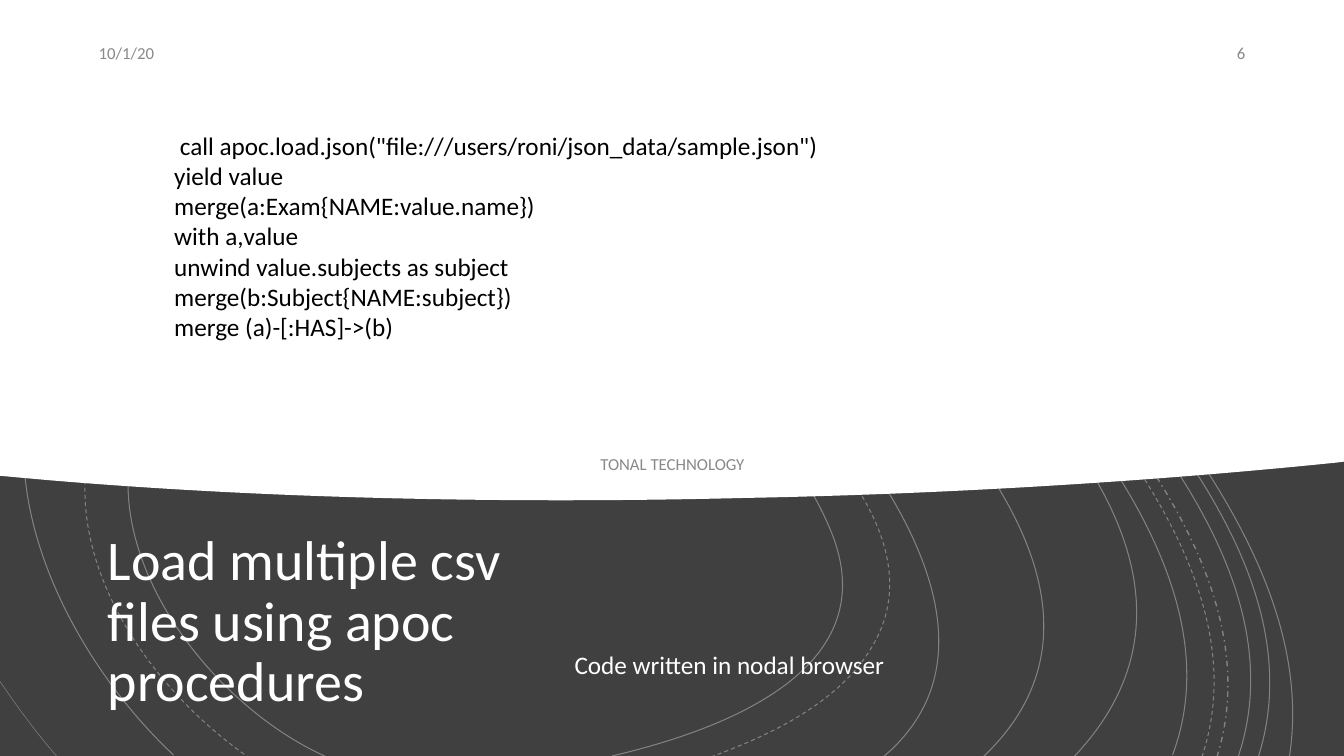
import pptx
import pptx.dml.color
import pptx.enum.dml
import pptx.enum.shapes
import pptx.enum.text
import pptx.oxml.ns
import pptx.util
from lxml import etree
from pptx.util import Inches

FONT = "Calibri"
DARK, WHITE, BLACK, GREY = "404040", "FFFFFF", "000000", "898989"
ALIGN = pptx.enum.text.PP_ALIGN
ANCHOR = pptx.enum.text.MSO_ANCHOR
DASH = pptx.enum.dml.MSO_LINE
qn = pptx.oxml.ns.qn

# Contour lines: width in points, dash, then start point and Bezier triples
CONTOURS = [
    (0.75, DASH.SOLID, [
        (8.76, 7.51), (10.25, 6.25, 8.35, 4.09, 7.38, 3.15),
        (6.49, 2.3, 5.36, 1.64, 4.12, 1.53), (2.87, 1.41, 1.41, 2.08, 0.68, 3.07),
        (-0.36, 4.47, 0.6, 6.44, 1.72, 7.49)]),
    (0.75, DASH.SOLID, [
        (6.07, 7.5), (7.1, 7.26, 8.8, 6.67, 8.25, 5.29),
        (7.73, 3.99, 6.15, 2.78, 4.8, 2.48), (3.57, 2.2, 2.16, 2.81, 1.51, 3.91),
        (0.73, 5.24, 2, 6.95, 3.22, 7.5)]),
    (0.75, DASH.DASH, [
        (7.05, 7.51), (7.65, 7.29, 8.35, 6.96, 8.67, 6.38),
        (9.06, 5.68, 8.64, 4.95, 8.17, 4.4), (7.23, 3.29, 5.92, 2.27, 4.43, 2.09),
        (3.19, 1.95, 1.93, 2.67, 1.22, 3.68), (0.27, 5.04, 1.27, 6.68, 2.46, 7.51)]),
    (0.75, DASH.SOLID, [
        (9.75, 7.51), (11.3, 6.04, 9.5, 4.13, 8.38, 3.06),
        (7.32, 2.06, 6.03, 1.2, 4.58, 0.92), (2.84, 0.59, 1.11, 1.43, 0, 2.8)]),
    (0.38, DASH.SOLID, [(0, 6.76), (0.19, 7.04, 0.37, 7.28, 0.56, 7.5)]),
    (0.75, DASH.SOLID, [
        (10.65, 7.51), (12.13, 5.95, 10.67, 4.22, 9.44, 3.07),
        (8.17, 1.89, 6.67, 0.87, 4.98, 0.44), (2.98, -0.06, 1.52, 0.46, 0, 1.84)]),
    (0.75, DASH.SOLID, [
        (11.63, 7.49), (12.26, 5.81, 10.64, 4.01, 9.63, 2.87),
        (8.58, 1.7, 7.36, 0.66, 5.93, 0)]),
    (0.75, DASH.DASH, [
        (11.92, 7.51), (12.48, 5.86, 10.98, 4.15, 10, 3.01),
        (8.97, 1.81, 7.77, 0.73, 6.37, 0)]),
    (1, DASH.DASH_DOT, [
        (12.07, 7.51), (12.59, 5.85, 11.13, 4.17, 10.15, 3.02),
        (9.13, 1.83, 7.95, 0.75, 6.58, 0)]),
    (0.75, DASH.SOLID, [
        (12.28, 7.51), (12.83, 5.88, 11.44, 4.25, 10.46, 3.12),
        (9.41, 1.9, 8.2, 0.79, 6.79, -0.01)]),
    (0.75, DASH.SOLID, [
        (12.48, 7.51), (12.99, 5.9, 11.67, 4.32, 10.7, 3.18),
        (9.66, 1.95, 8.46, 0.83, 7.07, 0)]),
    (0.75, DASH.SOLID, [
        (12.79, 7.5), (13.03, 5.9, 11.82, 4.38, 10.9, 3.22),
        (9.93, 2, 8.81, 0.87, 7.52, 0)]),
]

PANEL = [
    (0, 0), (13.33, 0), (13.33, 3.3), (13.33, 3.51), (13.33, 4.58), (13.25, 4.59),
    (11.09, 4.81, 9.01, 4.91, 7.39, 4.94), (5.4, 4.99, 2.91, 4.97, 0.44, 4.76),
    (0, 4.72), (0, 3.51), (0, 3.3),
]

CODE = [
    ' call apoc.load.json("file:///users/roni/json_data/sample.json")',
    "yield value",
    "merge(a:Exam{NAME:value.name})",
    "with a,value",
    "unwind value.subjects as subject",
    "merge(b:Subject{NAME:subject})",
    "merge (a)-[:HAS]->(b)",
]


def rgb(value):
    return pptx.dml.color.RGBColor.from_string(value)


def fill_plain(shape, color):
    shape.fill.solid()
    shape.fill.fore_color.rgb = rgb(color)
    shape.line.fill.background()
    shape.shadow.inherit = False


def add_outline(shapes, steps, close):
    """Draw steps: two numbers make a straight line, six a Bezier curve."""
    points = [(Inches(step[i]), Inches(step[i + 1]))
              for step in steps for i in range(0, len(step), 2)]
    builder = shapes.build_freeform(*points[0], scale=1.0)
    builder.add_line_segments(points[1:], close=close)
    outline = builder.convert_to_shape()

    # Merge the three segments of each curve into one Bezier segment
    segments = iter(list(outline.element.iter(qn("a:lnTo"))))
    for step in steps[1:]:
        first = next(segments)
        if len(step) == 6:
            curve = etree.Element(qn("a:cubicBezTo"))
            first.addprevious(curve)
            for segment in (first, next(segments), next(segments)):
                curve.append(segment[0])
                segment.getparent().remove(segment)
    return outline


def add_contour(shapes, width, dash, steps):
    contour = add_outline(shapes, steps, close=False)
    contour.fill.background()
    contour.shadow.inherit = False
    contour.line.color.rgb = rgb(WHITE)
    contour.line.width = pptx.util.Pt(width)
    contour.line.dash_style = dash
    # 35 % opacity
    color = next(contour.element.iter(qn("a:srgbClr")))
    etree.SubElement(color, qn("a:alpha")).set("val", "35000")


def write_text(shape, lines, size, color, align=ALIGN.LEFT, anchor=ANCHOR.MIDDLE,
               spacing=1.0, after=0, top_inset=0.05):
    frame = shape.text_frame
    frame.word_wrap = True
    frame.auto_size = pptx.enum.text.MSO_AUTO_SIZE.NONE
    frame.vertical_anchor = anchor
    frame.margin_top = Inches(top_inset)
    for index, line in enumerate(lines):
        paragraph = frame.add_paragraph() if index else frame.paragraphs[0]
        paragraph.alignment = align
        paragraph.line_spacing = spacing
        paragraph.space_after = pptx.util.Pt(after)
        run = paragraph.add_run()
        run.text = line
        run.font.name = FONT
        run.font.size = pptx.util.Pt(size)
        run.font.color.rgb = rgb(color)


def add_text(slide, box, lines, **text_format):
    write_text(slide.shapes.add_textbox(*map(Inches, box)), lines, **text_format)


def main():
    deck = pptx.Presentation()
    deck.slide_width, deck.slide_height = Inches(13.33), Inches(7.5)
    slide = deck.slides.add_slide(deck.slide_layouts[5])
    slide.background.fill.solid()
    slide.background.fill.fore_color.rgb = rgb(BLACK)

    # Dark backdrop with contour lines
    backdrop = slide.shapes.add_shape(pptx.enum.shapes.MSO_SHAPE.RECTANGLE, 0, 0,
                                      deck.slide_width, deck.slide_height)
    fill_plain(backdrop, DARK)
    contours = slide.shapes.add_group_shape()
    for contour in CONTOURS:
        add_contour(contours.shapes, *contour)

    # Title, raised above the backdrop
    title = slide.shapes.title
    title.left, title.top, title.width, title.height = map(Inches, (0.97, 5.21, 4.32, 1.94))
    write_text(title, ["Load multiple csv files using apoc procedures"],
               size=40, color=WHITE, spacing=0.9)
    contours.element.addnext(title.element)

    # White panel with a curved lower edge
    fill_plain(add_outline(slide.shapes, PANEL, close=True), WHITE)

    # Date, slide number and footer
    small = dict(size=12, color=GREY, after=6)
    add_text(slide, (0.88, 0.35, 4, 0.35), ["10/1/20"], **small)
    add_text(slide, (11.45, 0.35, 1, 0.35), ["6"], align=ALIGN.RIGHT, **small)
    add_text(slide, (1.47, 4.43, 10.4, 0.35), ["TONAL TECHNOLOGY"],
             align=ALIGN.CENTER, **small)

    # Caption and code
    add_text(slide, (5.6, 5.21, 6.87, 1.94), ["Code written in nodal browser"],
             size=18, color=WHITE, spacing=0.9, top_inset=0.91)
    add_text(slide, (1.63, 1.24, 8.06, 2.22), CODE,
             size=18, color=BLACK, anchor=ANCHOR.TOP)

    deck.save("out.pptx")


if __name__ == "__main__":
    main()
